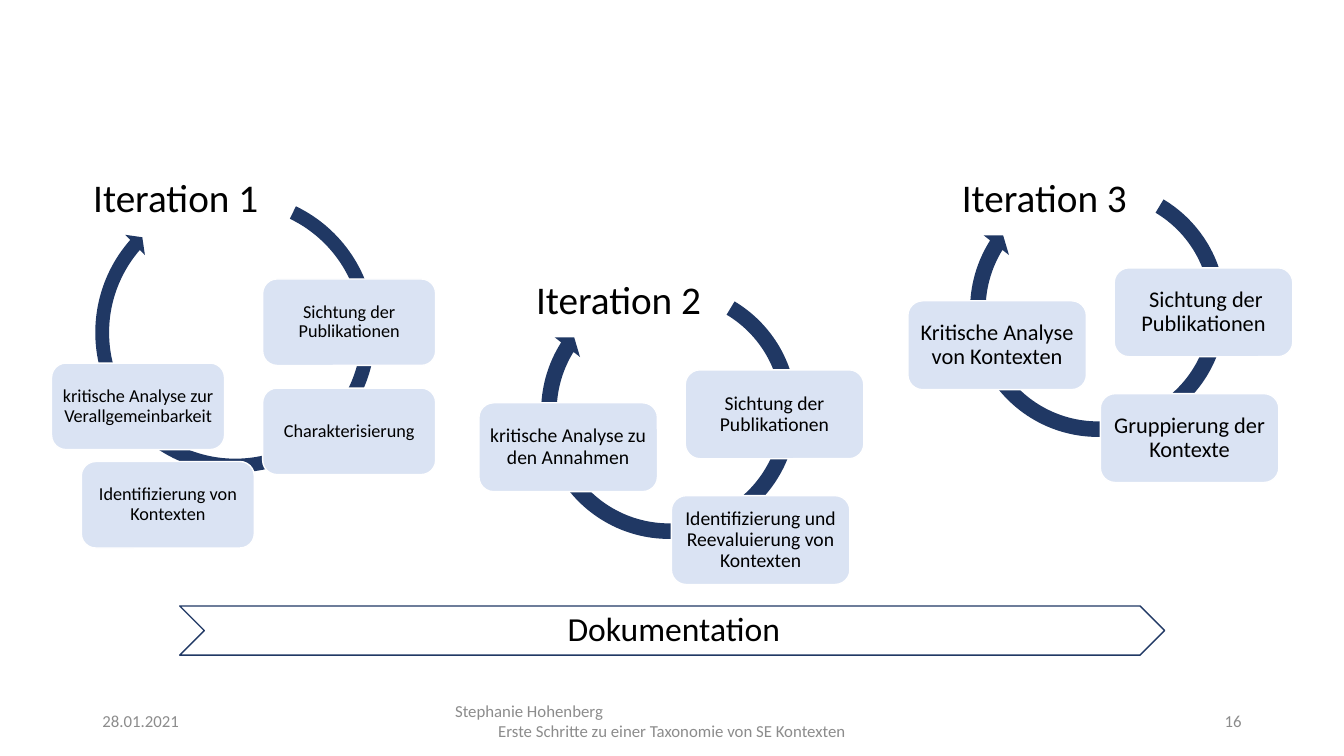
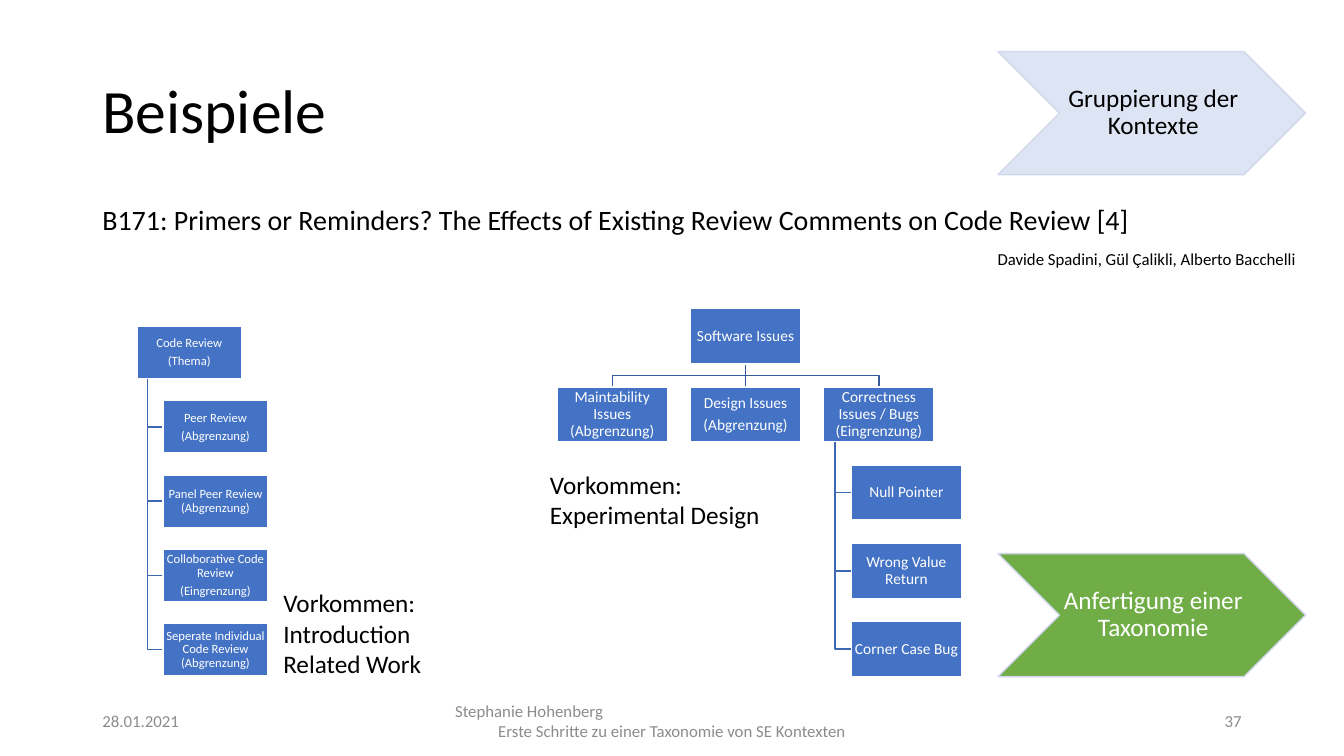
from lxml import etree
from pptx import Presentation
from pptx.dml.color import RGBColor
from pptx.enum.shapes import MSO_CONNECTOR as LINE, MSO_SHAPE as SHAPE
from pptx.enum.text import MSO_ANCHOR as ANCHOR, PP_ALIGN as ALIGN
from pptx.oxml.ns import qn
from pptx.util import Cm, Pt

FONT = "Calibri"
COLORS = {
    "text": "000000",
    "white": "FFFFFF",
    "footer": "8C8C8C",
    "navy": "203864",
    "pale": "DAE3F3",
    "pale_edge": "CFD5EA",
    "node": "4472C4",
    "list_line": "3E67B2",
    "tree_line": "365B9D",
    "green": "70AD47",
}
DATE = "28.01.2021"
AUTHOR = "Stephanie Hohenberg"
TALK = "Erste Schritte zu einer Taxonomie von SE Kontexten"
DEFAULT_INSETS = (0.25, 0.13, 0.25, 0.13)
PHASE_INSETS = (0.08, 0.03, 0, 0.03)
WIDE_ARC = (0.047, 2.729, 132.693, 177.399, 0.048)
NARROW_ARC = (0.057, 3.405, 127.304, 180.537, 0.059)
STEP_OFFSETS = [(3.84, 2.39), (3.49, 5.56), (-1.36, 3.22)]


def rgb(name):
    return RGBColor.from_string(COLORS[name])


def write(frame, lines, size, color="text", align=ALIGN.LEFT, anchor=ANCHOR.TOP,
          insets=DEFAULT_INSETS, spacing=1.0, after=0):
    frame.word_wrap = True
    frame.vertical_anchor = anchor
    (frame.margin_left, frame.margin_top,
     frame.margin_right, frame.margin_bottom) = map(Cm, insets)
    for index, line in enumerate(lines):
        paragraph = frame.paragraphs[0] if index == 0 else frame.add_paragraph()
        paragraph.alignment = align
        paragraph.line_spacing = spacing
        paragraph.space_after = Pt(after)
        run = paragraph.add_run()
        run.text = line
        run.font.name = FONT
        run.font.size = Pt(size)
        run.font.color.rgb = rgb(color)
    return frame.paragraphs


def add_text(slide, box, lines, size, **style):
    frame = slide.shapes.add_textbox(*map(Cm, box)).text_frame
    return write(frame, lines, size, **style)


def add_figure(slide, kind, box, fill=None, edge=None):
    figure = slide.shapes.add_shape(kind, *map(Cm, box))
    figure.shadow.inherit = False
    if fill:
        figure.fill.solid()
        figure.fill.fore_color.rgb = rgb(fill)
    else:
        figure.fill.background()
    if edge:
        figure.line.color.rgb = rgb(edge)
        figure.line.width = Pt(1)
    else:
        figure.line.fill.background()
    return figure


def add_label(figure, lines, size, color="text", insets=(0.03,) * 4):
    write(figure.text_frame, lines, size, color, ALIGN.CENTER, ANCHOR.MIDDLE,
          insets, 0.9, round(size * 0.35, 1))


def set_opacity(properties, percent):
    for color in properties.iter(qn("a:srgbClr")):
        etree.SubElement(color, qn("a:alpha")).set("val", str(percent * 1000))


def add_line(slide, start, end, color):
    line = slide.shapes.add_connector(LINE.STRAIGHT, *map(Cm, start + end))
    line.line.color.rgb = rgb(color)
    line.line.width = Pt(1)
    etree.SubElement(line._element.spPr, qn("a:effectLst"))


def add_bent_line(slide, points, color):
    start, *corners = [(Cm(x), Cm(y)) for x, y in points]
    outline = slide.shapes.build_freeform(*start)
    outline.add_line_segments(corners, close=False)
    bent = outline.convert_to_shape()
    bent.shadow.inherit = False
    bent.fill.background()
    bent.line.color.rgb = rgb(color)
    bent.line.width = Pt(1)


def add_footer(slide, number):
    style = {"size": 12, "color": "footer", "anchor": ANCHOR.MIDDLE}
    top, height = 17.65, 1.02
    add_text(slide, (2.33, top, 7.62, height), [DATE], **style)
    author, _ = add_text(slide, (11.22, top, 11.43, height), [AUTHOR, TALK],
                         align=ALIGN.CENTER, **style)
    author.alignment = ALIGN.LEFT
    add_text(slide, (23.92, top, 7.62, height), [str(number)],
             align=ALIGN.RIGHT, **style)


def add_cycle(slide, title, title_at, arc_box, arc, steps, step_size, size, inset):
    arrow = add_figure(slide, SHAPE.CIRCULAR_ARROW, arc_box, "navy")
    for index, value in enumerate(arc):
        arrow.adjustments[index] = value
    for step, (dx, dy) in steps:
        box = (arc_box[0] + dx, arc_box[1] + dy) + step_size
        figure = add_figure(slide, SHAPE.ROUNDED_RECTANGLE, box, "pale", "white")
        add_label(figure, [step], size, insets=(inset,) * 4)
    add_text(slide, title_at + (5.36, 1.7), [title], 28, spacing=0.9)


def add_phase(slide, top, name, fill, color, opacity=100):
    phase = add_figure(slide, SHAPE.CHEVRON, (25.15, top, 7.75, 3.1), fill, "pale_edge")
    if opacity < 100:
        set_opacity(phase._element.spPr, opacity)
    add_label(phase, [name], 18, color, PHASE_INSETS)


def add_node(slide, at, node_size, lines, size):
    node = add_figure(slide, SHAPE.RECTANGLE, at + node_size, "node", "white")
    add_label(node, lines, size, "white")


def add_hanging_list(slide, at, node_size, pitch, parent, children, size):
    left, top = at
    width, height = node_size
    spine = left + width * 0.1
    child_left = left + width * 0.25
    add_node(slide, at, node_size, parent, size)
    for row, child in enumerate(children, 1):
        child_top = top + row * pitch
        middle = child_top + height / 2
        add_bent_line(slide, [(spine, top + height), (spine, middle),
                              (child_left, middle)], "list_line")
        add_node(slide, (child_left, child_top), node_size, child, size)


def add_issue_tree(slide):
    left, top, column, row, size = 14.04, 7.78, 3.36, 1.97, 11
    node_size = width, height = 2.78, 1.39
    centers = [left + column * index + width / 2 for index in range(3)]
    middle = centers[1]
    bottom, child_top = top + height, top + row
    bus = (bottom + child_top) / 2
    for center in (centers[0], centers[2]):
        add_bent_line(slide, [(middle, bottom), (middle, bus),
                              (center, bus), (center, child_top)], "tree_line")
    add_line(slide, (middle, bottom), (middle, child_top), "tree_line")
    add_node(slide, (left + column, top), node_size, ["Software Issues"], size)
    add_node(slide, (left, child_top), node_size,
             ["Maintability Issues (Abgrenzung)"], size)
    add_node(slide, (left + column, child_top), node_size,
             ["Design Issues", "(Abgrenzung)"], size)
    add_hanging_list(slide, (left + 2 * column, child_top), node_size, row,
                     ["Correctness Issues / Bugs (Eingrenzung)"],
                     [["Null Pointer"], ["Wrong Value Return"], ["Corner Case Bug"]],
                     size)


def build_iterations(slide):
    add_cycle(slide, "Iteration 1", (2.1, 4.38), (2.22, 4.67, 7.42, 7.42), WIDE_ARC,
              [("Sichtung der Publikationen", (4.4, 2.36)),
               ("Charakterisierung", (4.4, 5.11)),
               ("Identifizierung von Kontexten", (-0.17, 6.96)),
               ("kritische Analyse zur Verallgemeinbarkeit", (-0.92, 4.48))],
              (4.36, 2.18), 13, 0.13)
    add_footer(slide, 16)
    add_cycle(slide, "Iteration 2", (13.26, 6.93), (13.43, 6.93, 6.86, 6.86), NARROW_ARC,
              zip(["Sichtung der Publikationen",
                   "Identifizierung und Reevaluierung von Kontexten",
                   "kritische Analyse zu den Annahmen"], STEP_OFFSETS),
              (4.5, 2.24), 14, 0.15)
    add_cycle(slide, "Iteration 3", (23.99, 4.38), (24.24, 4.36, 6.86, 6.86), NARROW_ARC,
              zip([" Sichtung der Publikationen",
                   "Gruppierung der Kontexte",
                   "Kritische Analyse von Kontexten"], STEP_OFFSETS),
              (4.5, 2.24), 16, 0.18)
    documentation = add_figure(slide, SHAPE.CHEVRON, (4.53, 15.27, 24.82, 1.24),
                               edge="navy")
    add_label(documentation, ["Dokumentation"], 24, insets=PHASE_INSETS)


def build_examples(slide):
    add_text(slide, (2.33, 1.02, 29.21, 3.68), ["Beispiele"], 44,
             anchor=ANCHOR.MIDDLE, spacing=0.9)
    add_footer(slide, 37)
    _, authors = add_text(
        slide, (2.33, 5.08, 30.58, 2.77),
        ["B171: Primers or Reminders? The Effects of Existing Review Comments "
         "on Code Review [4]",
         "Davide Spadini, Gül Çalikli, Alberto Bacchelli"], 20, spacing=0.9)
    authors.alignment = ALIGN.RIGHT
    authors.space_before = Pt(10)
    authors.runs[0].font.size = Pt(12)
    add_phase(slide, 1.3, "Gruppierung der Kontexte", "pale", "text", 90)
    add_issue_tree(slide)
    add_hanging_list(slide, (3.45, 8.23), (2.64, 1.32), 1.87,
                     ["Code Review", "(Thema)"],
                     [["Peer Review", "(Abgrenzung)"],
                      ["Panel Peer Review (Abgrenzung)"],
                      ["Colloborative Code Review", "(Eingrenzung)"],
                      ["Seperate Individual Code Review (Abgrenzung)"]], 9)
    add_text(slide, (6.89, 14.68, 5.46, 2.57),
             ["Vorkommen:", "Introduction", "Related Work"], 18)
    add_text(slide, (13.61, 11.7, 6.83, 1.8),
             ["Vorkommen:", "Experimental Design"], 18)
    add_phase(slide, 13.95, "Anfertigung einer Taxonomie", "green", "white")


def main():
    deck = Presentation()
    deck.slide_width, deck.slide_height = Cm(33.87), Cm(19.05)
    for build in (build_iterations, build_examples):
        build(deck.slides.add_slide(deck.slide_layouts[6]))
    deck.save("out.pptx")


if __name__ == "__main__":
    main()
